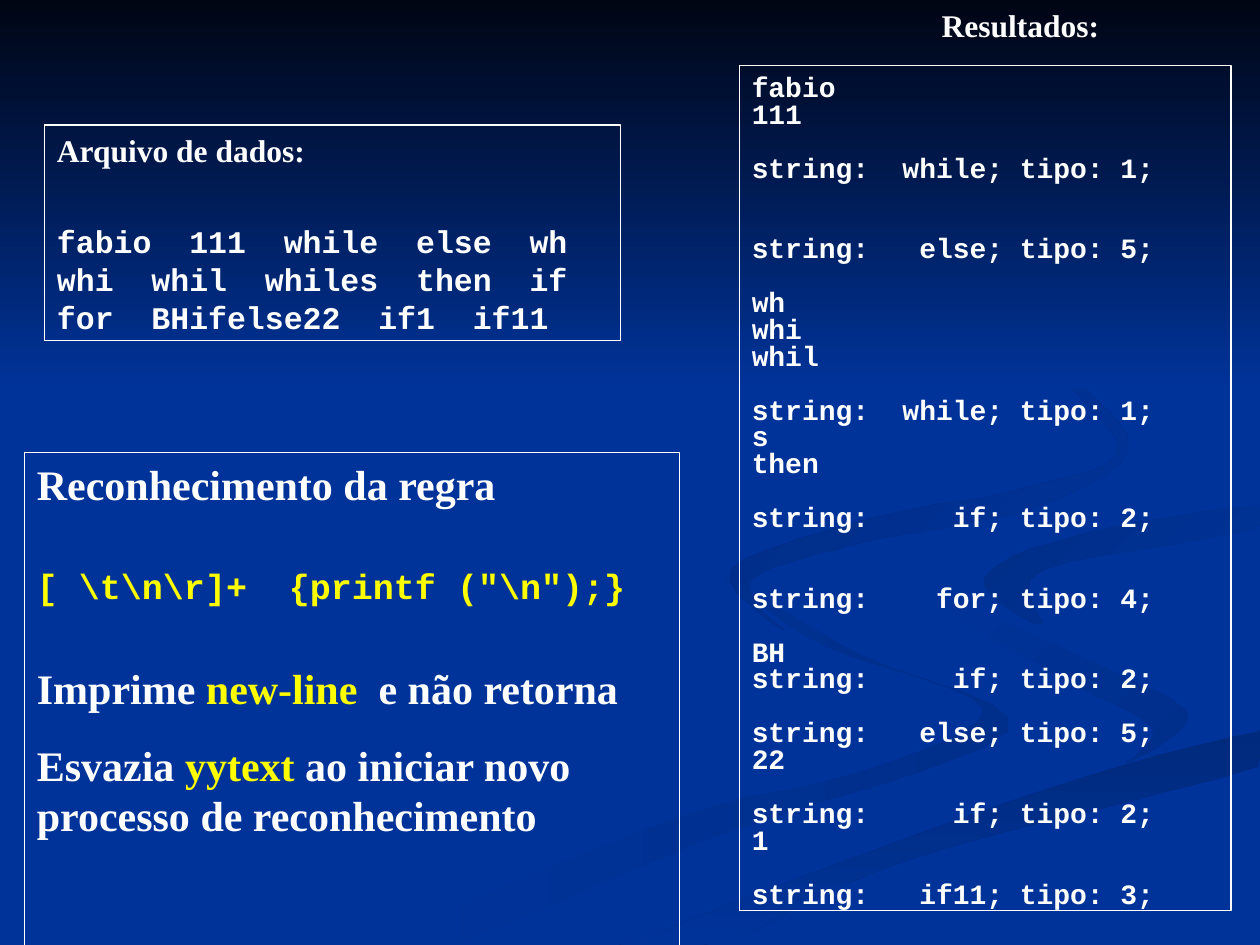
from pptx import Presentation
from pptx.dml.color import RGBColor
from pptx.enum.shapes import MSO_SHAPE
from pptx.enum.text import MSO_ANCHOR, PP_ALIGN
from pptx.util import Pt

COLORS = {"blue": "003399", "night": "000514", "white": "FFFFFF", "yellow": "FFFF00",
          "wave": "002E8B", "band": "002A7D", "hook": "002D86", "swirl": "002B82"}
SERIF, MONO = "Times New Roman", "Courier New"
WIDTH, HEIGHT = 720, 540
LINE_FACTOR = 1.2
CURVE_STEPS = 6

# Background ribbons: (first colour, last colour, clockwise angle, knots of a smooth outline)
RIBBONS = [
    ("blue", "wave", 0, [(491, 374), (414, 330), (471, 369), (562, 405), (492, 441),
                         (388, 467), (216, 539), (260, 539), (406, 479), (576, 418)]),
    ("blue", "wave", 45, [(679, 410), (639, 385), (521, 334), (603, 386), (658, 415),
                          (644, 436)]),
    ("band", "blue", 90, [(362, 539), (411, 539), (520, 491), (719, 438), (719, 418),
                          (574, 459)]),
    ("hook", "blue", 45, [(562, 331), (595, 357), (596, 326), (719, 302), (719, 289),
                          (611, 307)]),
    ("swirl", "blue", 45, [(492, 310), (594, 289), (644, 248), (549, 168), (638, 251),
                           (589, 278), (507, 294), (418, 325), (448, 360), (429, 332)]),
]

# Paragraphs: (runs as (text, colour), font, size, space before)
DATA_FILE = [
    ([("Arquivo de dados:", "white")], SERIF, 18, 0),
    ([("fabio  111  while  else  wh  whi  whil  whiles  then  if   "
       "for  BHifelse22  if1  if11", "white")], MONO, 18, 30.4),
]
RULE = [
    ([("Reconhecimento da regra", "white")], SERIF, 24, 0),
    ([("[ \\t\\n\\r]+\t{printf (\"\\n\");}", "yellow")], MONO, 20, 31.7),
    ([("Imprime ", "white"), ("new-line", "yellow"), ("  e não retorna", "white")],
     SERIF, 24, 32.2),
    ([("Esvazia ", "white"), ("yytext", "yellow"),
      (" ao iniciar novo processo de reconhecimento", "white")], SERIF, 24, 15),
]
# Program output: (empty lines above, plain text or (word, type))
OUTPUT = [
    (0, "fabio"), (0, "111"), (1, ("while", 1)), (2, ("else", 5)),
    (1, "wh"), (0, "whi"), (0, "whil"), (1, ("while", 1)), (0, "s"), (0, "then"),
    (1, ("if", 2)), (2, ("for", 4)), (1, "BH"), (0, ("if", 2)), (1, ("else", 5)),
    (0, "22"), (1, ("if", 2)), (0, "1"), (1, ("if11", 3)),
]
OUTPUT_SIZE, OUTPUT_PITCH = 16, 15.36


def color(name):
    return RGBColor.from_string(COLORS[name])


def smooth_outline(knots):
    """Closed Catmull-Rom curve through the knots, kept on the slide."""
    points = []
    for index in range(len(knots)):
        corners = [knots[(index + offset) % len(knots)] for offset in (-1, 0, 1, 2)]
        for step in range(CURVE_STEPS):
            t = step / CURVE_STEPS
            x, y = (b + t * (c - a + t * (2 * a - 5 * b + 4 * c - d
                                          + t * (3 * b - a - 3 * c + d))) / 2
                    for a, b, c, d in zip(*corners))
            points.append((min(x, WIDTH), min(y, HEIGHT)))
    return points


def paint(shape, first, last, angle):
    shape.shadow.inherit = False
    shape.line.fill.background()
    shape.fill.gradient()
    shape.fill.gradient_angle = (360 - angle) % 360
    for stop, name, position in zip(shape.fill.gradient_stops, (first, last), (0, 1)):
        stop.color.rgb = color(name)
        stop.position = position


def add_text(paragraph, runs, font=SERIF, size=18, before=0, pitch=None):
    paragraph.alignment = PP_ALIGN.LEFT
    paragraph.space_before = Pt(before)
    paragraph.line_spacing = Pt(pitch or size * LINE_FACTOR)
    for text, name in runs:
        run = paragraph.add_run()
        run.text = text
        run.font.name = font
        run.font.size = Pt(size)
        run.font.bold = True
        run.font.color.rgb = color(name)


def add_box(slide, left, top, width, height, paragraphs, pitch=None, inset=3.6, frame=True):
    box = tuple(Pt(length) for length in (left, top, width, height))
    if frame:
        shape = slide.shapes.add_shape(MSO_SHAPE.RECTANGLE, *box)
        shape.shadow.inherit = False
        shape.fill.background()
        shape.line.color.rgb = color("white")
        shape.line.width = Pt(0.75)
    else:
        shape = slide.shapes.add_textbox(*box)
    text_frame = shape.text_frame
    text_frame.word_wrap = True
    text_frame.vertical_anchor = MSO_ANCHOR.TOP
    text_frame.margin_top = Pt(inset)
    for index, (runs, font, size, before) in enumerate(paragraphs):
        paragraph = text_frame.add_paragraph() if index else text_frame.paragraphs[0]
        add_text(paragraph, runs, font=font, size=size, before=before, pitch=pitch)


def output_line(item):
    if isinstance(item, str):
        return item
    word, kind = item
    return f"string: {word:>6}; tipo: {kind};"


def main():
    presentation = Presentation()
    presentation.slide_width, presentation.slide_height = Pt(WIDTH), Pt(HEIGHT)
    slide = presentation.slides.add_slide(presentation.slide_layouts[6])

    # Background
    slide.background.fill.solid()
    slide.background.fill.fore_color.rgb = color("blue")
    for first, last, angle, knots in RIBBONS:
        start, *others = smooth_outline(knots)
        builder = slide.shapes.build_freeform(*start, scale=Pt(1))
        builder.add_line_segments(others, close=True)
        paint(builder.convert_to_shape(), first, last, angle)
    sky = slide.shapes.add_shape(MSO_SHAPE.RECTANGLE, 0, 0, Pt(WIDTH), Pt(222))
    paint(sky, "night", "blue", 90)

    # Results heading and program output
    add_box(slide, 531, 0, 150, 30, [([("Resultados:", "white")], SERIF, 18, 0)], frame=False)
    output = [([(output_line(item), "white")], MONO, OUTPUT_SIZE, gap * OUTPUT_PITCH)
              for gap, item in OUTPUT]
    add_box(slide, 422.5, 37.5, 281, 483, output, pitch=OUTPUT_PITCH, inset=6)

    # Rule and data file
    add_box(slide, 14, 258.5, 374.5, 283, RULE)
    add_box(slide, 25.5, 71.5, 329, 123, DATA_FILE)

    presentation.save("out.pptx")


if __name__ == "__main__":
    main()
